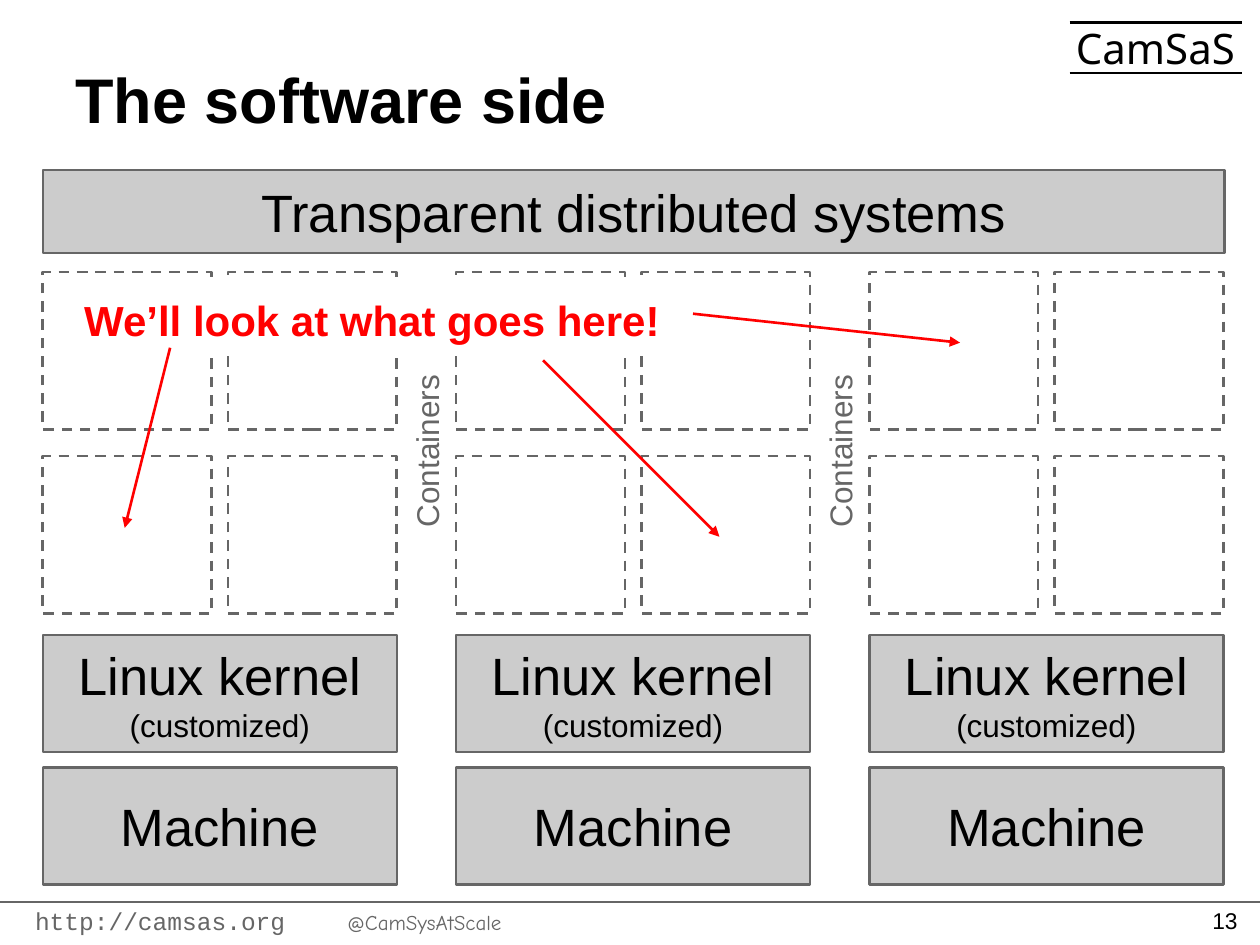
from pptx import Presentation
from pptx.dml.color import RGBColor
from pptx.enum.dml import MSO_LINE
from pptx.enum.shapes import MSO_CONNECTOR, MSO_SHAPE
from pptx.enum.text import MSO_ANCHOR, PP_ALIGN
from pptx.oxml.ns import qn
from pptx.util import Inches, Pt
from lxml import etree

BLACK = RGBColor(0x00, 0x00, 0x00)
WHITE = RGBColor(0xFF, 0xFF, 0xFF)
GREY = RGBColor(0x66, 0x66, 0x66)
LIGHT_GREY = RGBColor(0xCC, 0xCC, 0xCC)
RED = RGBColor(0xFF, 0x00, 0x00)

LEFT, CENTER, RIGHT = PP_ALIGN.LEFT, PP_ALIGN.CENTER, PP_ALIGN.RIGHT
TOP, MIDDLE, BOTTOM = MSO_ANCHOR.TOP, MSO_ANCHOR.MIDDLE, MSO_ANCHOR.BOTTOM
RECTANGLE, STRAIGHT, DASH = MSO_SHAPE.RECTANGLE, MSO_CONNECTOR.STRAIGHT, MSO_LINE.DASH

COLUMN_LEFT, COLUMN_STEP, COLUMN_WIDTH, COLUMN_COUNT = 0.34, 3.28, 2.81, 3
BLOCK_HEIGHT = 0.93
CELL_WIDTH, CELL_HEIGHT = 1.34, 1.25


def set_font(font, size, color=BLACK, name="Arial", bold=False):
    font.size, font.name, font.bold = Pt(size), name, bold
    font.color.rgb = color


def prepare_frame(shape, align, anchor):
    """Set margins, wrapping and alignment; return the first paragraph."""
    frame = shape.text_frame
    frame.word_wrap = True
    frame.vertical_anchor = anchor
    frame.margin_left = frame.margin_right = Inches(0.1)
    frame.margin_top = frame.margin_bottom = Inches(0.1)
    para = frame.paragraphs[0]
    para.alignment = align
    return para


def add_text(page, box, text, size, align=LEFT, anchor=TOP, **style):
    shape = page.shapes.add_textbox(*map(Inches, box))
    para = prepare_frame(shape, align, anchor)
    para.add_run().text = text
    set_font(para.font, size, **style)
    return shape


def add_rectangle(page, box, fill=None, line=GREY, dash=None):
    shape = page.shapes.add_shape(RECTANGLE, *map(Inches, box))
    shape.shadow.inherit = False
    if fill is None:
        shape.fill.background()
    else:
        shape.fill.solid()
        shape.fill.fore_color.rgb = fill
    if line is None:
        shape.line.fill.background()
    else:
        shape.line.color.rgb = line
        shape.line.width = Pt(1.5)
        shape.line.dash_style = dash
    return shape


def add_block(page, box, *spans):
    """Grey block with centred (text, size) spans."""
    para = prepare_frame(add_rectangle(page, box, LIGHT_GREY), CENTER, MIDDLE)
    for text, size in spans:
        span = para.add_run()
        span.text = text
        set_font(span.font, size)


def add_line(page, start, end, color=BLACK, width=1.5, arrow=False):
    line = page.shapes.add_connector(STRAIGHT, *map(Inches, start + end))
    line.line.color.rgb = color
    line.line.width = Pt(width)
    if arrow:
        outline = line.line._get_or_add_ln()
        etree.SubElement(outline, qn("a:tailEnd"), type="triangle")
    etree.SubElement(line._element.spPr, qn("a:effectLst"))


def add_header(page, left, top):
    # Group name between two rules
    add_text(page, (left + 7.92, top - 0.22, 1.5, 0.57), "CamSaS", 24, CENTER,
             name="Noto Sans")
    for y in (top - 0.12, top + 0.28):
        add_line(page, (left + 7.99, y), (left + 9.36, y))
    # Title
    add_text(page, (left, top, 9, 0.88), "The software side", 36,
             anchor=BOTTOM, bold=True)


def add_footer(page, top, width):
    add_text(page, (width - 0.68, top - 0.14, 0.6, 0.57), "13", 13, RIGHT, MIDDLE)
    # Address and handle, set apart by a tab stop
    shape = page.shapes.add_textbox(*map(Inches, (0.18, top - 0.07, 7.83, 0.3)))
    para = prepare_frame(shape, LEFT, TOP)
    tabs = etree.SubElement(para._p.get_or_add_pPr(), qn("a:tabLst"))
    etree.SubElement(tabs, qn("a:tab"), pos=str(Inches(2.48)), algn="l")
    for text, size, name in (("http://camsas.org\t", 14, "Courier New"),
                             ("@CamSysAtScale", 12, "Comic Neue")):
        span = para.add_run()
        span.text = text
        set_font(span.font, size, GREY, name)
    add_line(page, (0, top), (width, top), GREY, 0.75)


def add_machine_column(page, left, top, labelled):
    # Two by two container slots
    for x in (left, left + COLUMN_WIDTH - CELL_WIDTH):
        for y in (top, top + 1.46):
            add_rectangle(page, (x, y, CELL_WIDTH, CELL_HEIGHT), dash=DASH)
    if labelled:
        label = add_text(page, (left + 1.63, top + 1.18, 2.81, 0.48),
                         "Containers", 18, CENTER, color=GREY)
        label.rotation = 270
    # Kernel and machine
    add_block(page, (left, top + 2.88, COLUMN_WIDTH, BLOCK_HEIGHT),
              ("Linux kernel ", 30), ("(customized)", 18))
    add_block(page, (left, top + 3.93, COLUMN_WIDTH, BLOCK_HEIGHT),
              ("Machine", 30))


def add_callout(page, left, top):
    shape = add_rectangle(page, (left, top, 4.93, 0.58), WHITE, line=None)
    para = prepare_frame(shape, LEFT, TOP)
    para.add_run().text = "We’ll look at what goes here!"
    set_font(para.font, 24, RED, bold=True)
    # Arrows to three of the slots
    for x1, y1, x2, y2 in ((0.78, 0.52, 0.42, 1.95),
                           (3.74, 0.62, 5.14, 2.02),
                           (4.93, 0.25, 7.05, 0.48)):
        add_line(page, (left + x1, top + y1), (left + x2, top + y2), RED, arrow=True)


def main():
    deck = Presentation()
    deck.slide_width, deck.slide_height = Inches(10), Inches(7.5)
    page = deck.slides.add_slide(deck.slide_layouts[6])
    add_header(page, 0.5, 0.3)
    add_footer(page, 7.16, 10)
    add_block(page, (COLUMN_LEFT, 1.35, 9.38, 0.66),
              ("Transparent distributed systems", 30))
    for column in range(COLUMN_COUNT):
        add_machine_column(page, COLUMN_LEFT + column * COLUMN_STEP, 2.16,
                           labelled=column < COLUMN_COUNT - 1)
    add_callout(page, 0.57, 2.24)
    deck.save("out.pptx")


if __name__ == "__main__":
    main()
